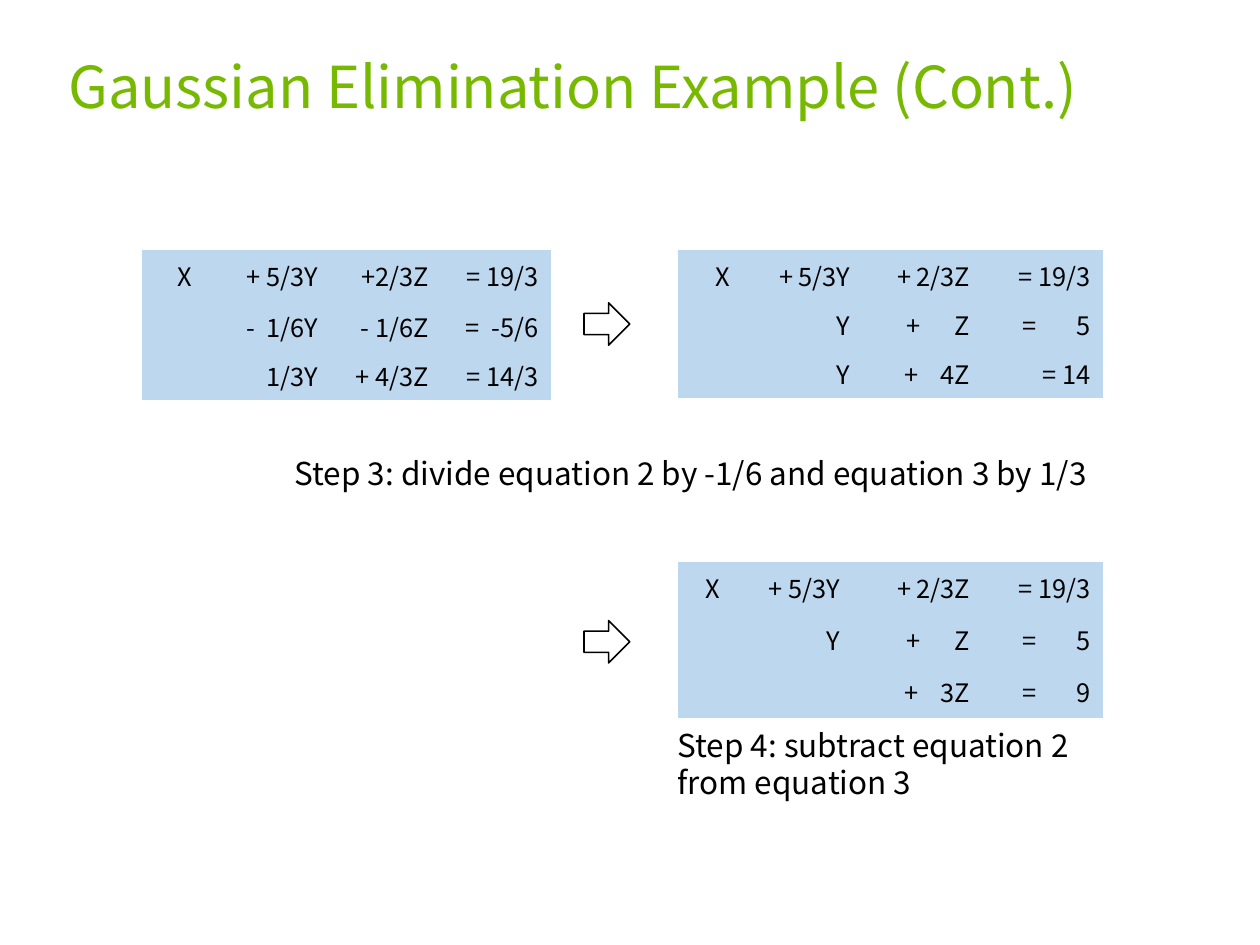
from pptx import Presentation
from pptx.dml.color import RGBColor
from pptx.enum.shapes import MSO_SHAPE as Preset
from pptx.enum.text import MSO_ANCHOR as Anchor, MSO_AUTO_SIZE as AutoSize, PP_ALIGN as Align
from pptx.oxml.ns import qn
from pptx.util import Inches, Mm, Pt

FONT = "Noto Sans CJK SC"
COLORS = {"title": "76B900", "ink": "000000", "cell": "BDD7EE", "paper": "FFFFFF"}
SIZES = {"title": 36.4, "step": 19.8, "equation": 16}
PAGE_SIZE = Mm(280), Mm(210)
NO_GRID_STYLE = "{2D5ABB26-0587-4C30-8999-92F81FD0307C}"

TITLE = ("Gaussian Elimination Example (Cont.)", (0.5, 0.47, 10.02, 0.67))
SYSTEMS = [
    ((1.24, 2.19), (0.55, 1.1, 0.97, 0.96), (0.45, 0.42, 0.42), [
        ("X", "+ 5/3Y", "+2/3Z", "= 19/3"),
        ("", "-  1/6Y", "- 1/6Z", "=  -5/6"),
        ("", "1/3Y", "+ 4/3Z", "= 14/3"),
    ]),
    ((5.93, 2.19), (0.57, 1.05, 1.05, 1.05), (0.43, 0.43, 0.43), [
        ("X", "+ 5/3Y", "+ 2/3Z", "= 19/3"),
        ("", "Y", "+      Z", "=       5"),
        ("", "Y", "+    4Z", "= 14"),
    ]),
    ((5.93, 4.92), (0.48, 1.05, 1.14, 1.05), (0.46, 0.45, 0.45), [
        ("X", "+ 5/3Y", "+ 2/3Z", "= 19/3"),
        ("", "Y", "+      Z", "=       5"),
        ("", "", "+    3Z", "=       9"),
    ]),
]
STEPS = [
    ("Step 3: divide equation 2 by -1/6 and equation 3 by 1/3", (2.48, 3.92, 7.17, 0.43)),
    ("Step 4: subtract equation 2 from equation 3", (5.83, 6.3, 4.13, 0.77)),
]
ARROW_LEFT, ARROW_TOPS, ARROW_SIZE = 5.11, (2.65, 5.43), (0.4, 0.37)


def inches(values):
    return [Inches(value) for value in values]


def color(name):
    return RGBColor.from_string(COLORS[name])


def write(frame, text, size, ink="ink"):
    para = frame.paragraphs[0]
    span = para.add_run()
    span.text = text
    span.font.name = FONT
    span.font.size = Pt(SIZES[size])
    span.font.color.rgb = color(ink)
    return para


def add_title(page):
    text, place = TITLE
    box = page.shapes.title
    box.left, box.top, box.width, box.height = inches(place)
    frame = box.text_frame
    frame.auto_size = AutoSize.NONE
    frame.vertical_anchor = Anchor.BOTTOM
    frame.margin_bottom = Inches(0.08)
    para = write(frame, text, "title", "title")
    para.alignment = Align.LEFT
    para.line_spacing = 0.9


def add_system(page, corner, columns, rows, equations):
    place = inches((*corner, sum(columns), sum(rows)))
    holder = page.shapes.add_table(len(rows), len(columns), *place)
    for style in holder.element.iter(qn("a:tableStyleId")):
        style.text = NO_GRID_STYLE
    table = holder.table
    table.first_row = table.horz_banding = False
    for column, width in zip(table.columns, inches(columns)):
        column.width = width
    for row, height, terms in zip(table.rows, inches(rows), equations):
        row.height = height
        for cell, term in zip(row.cells, terms):
            cell.fill.solid()
            cell.fill.fore_color.rgb = color("cell")
            cell.margin_left = cell.margin_right = Pt(8)
            cell.margin_top = cell.margin_bottom = Pt(4)
            write(cell.text_frame, term, "equation").alignment = Align.RIGHT


def add_step(page, text, place):
    frame = page.shapes.add_textbox(*inches(place)).text_frame
    frame.word_wrap = True
    write(frame, text, "step")


def add_arrow(page, top):
    arrow = page.shapes.add_shape(Preset.RIGHT_ARROW, *inches((ARROW_LEFT, top, *ARROW_SIZE)))
    arrow.shadow.inherit = False
    arrow.fill.solid()
    arrow.fill.fore_color.rgb = color("paper")
    arrow.line.color.rgb = color("ink")
    arrow.line.width = Pt(1)


def main():
    deck = Presentation()
    deck.slide_width, deck.slide_height = PAGE_SIZE
    deck.element.find(qn("p:sldSz")).attrib.pop("type", None)
    page = deck.slides.add_slide(deck.slide_layouts[5])
    add_title(page)
    for system in SYSTEMS:
        add_system(page, *system)
    for step in STEPS:
        add_step(page, *step)
    for top in ARROW_TOPS:
        add_arrow(page, top)
    deck.save("out.pptx")


if __name__ == "__main__":
    main()
